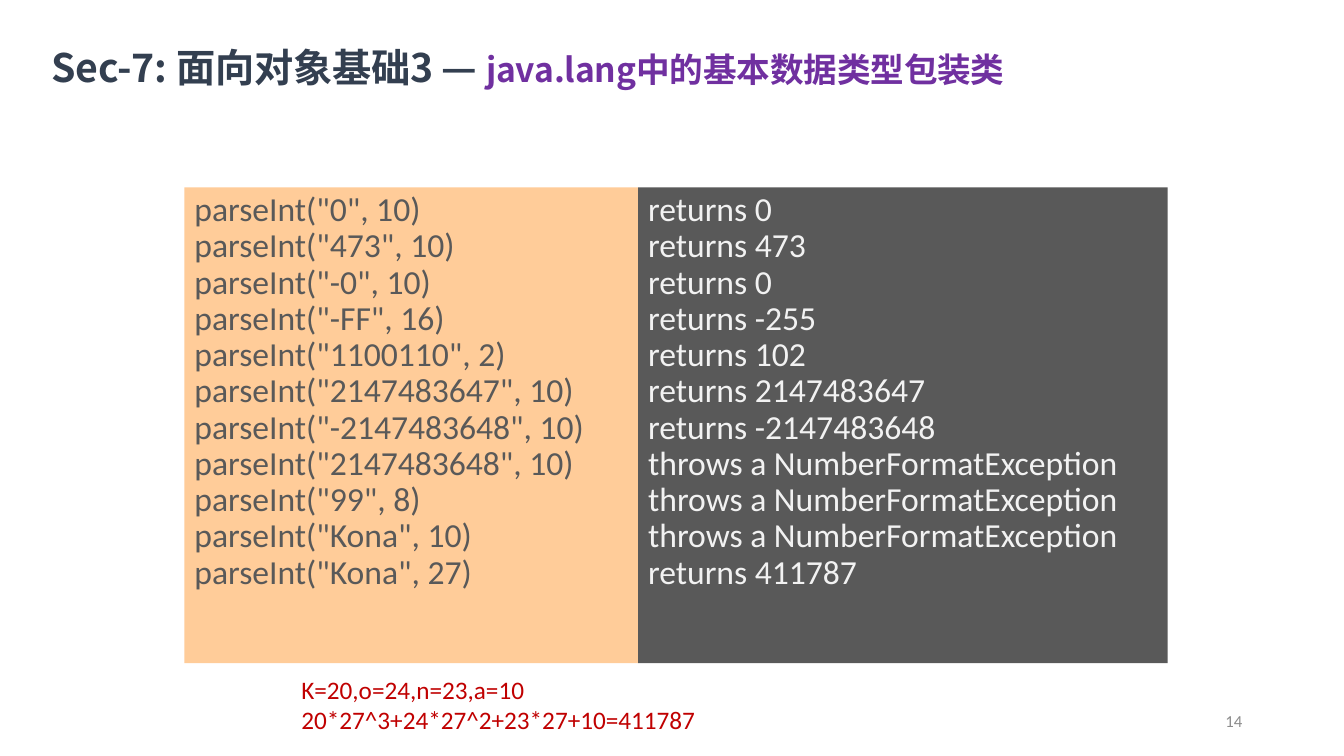
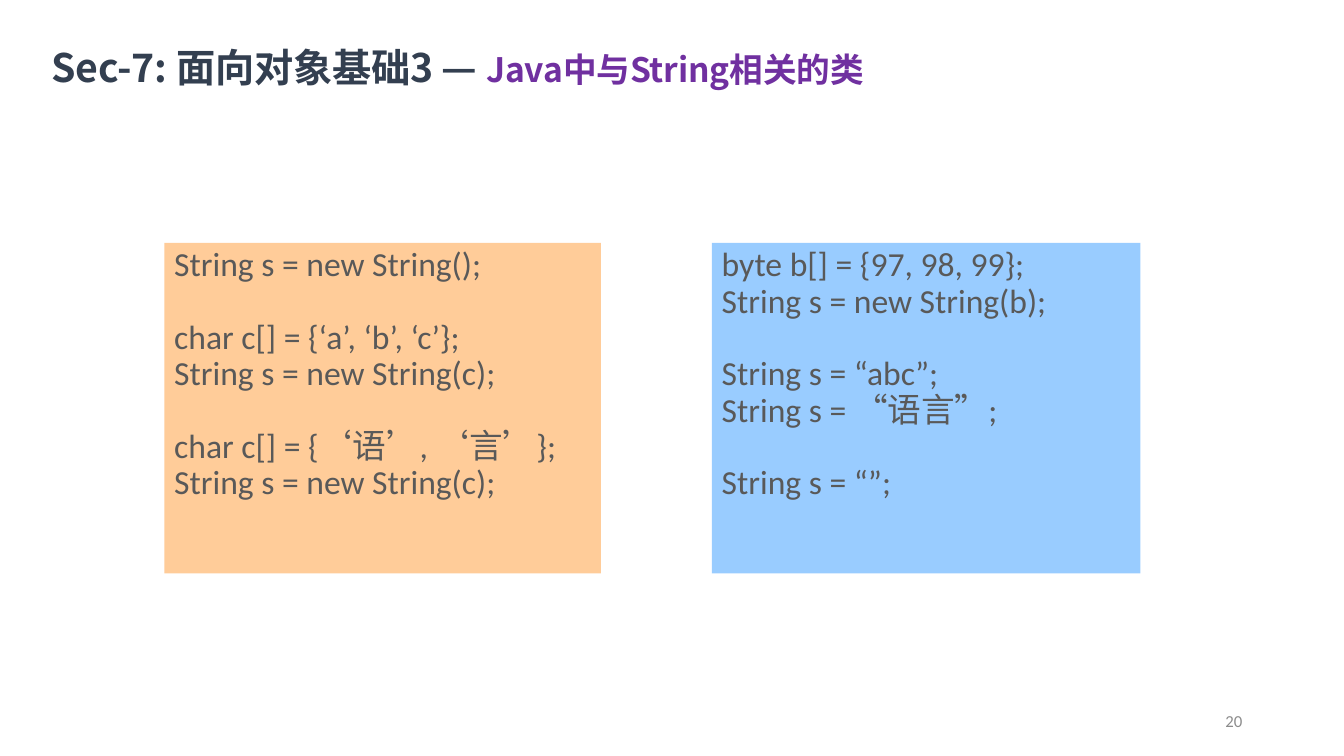
from lxml.etree import SubElement
from pptx import Presentation
from pptx.dml.color import RGBColor
from pptx.enum.shapes import MSO_SHAPE
from pptx.enum.text import MSO_ANCHOR, PP_ALIGN
from pptx.oxml.ns import qn
from pptx.util import Inches, Pt

LATIN, CJK = "Calibri", "Noto Sans CJK SC"
NAVY, PURPLE, RED = "333F50", "7030A0", "C00000"
ORANGE, BLUE, DARK, LIGHT, GREY = "FFCC99", "99CCFF", "595959", "F2F2F2", "8C8C8C"
CODE_LINE = 26  # height of one line of code, in points


def color(hex_string):
    return RGBColor.from_string(hex_string)


def add_run(p, text, size, hex_string, font=LATIN, bold=False):
    r = p.add_run()
    r.text = text
    r.font.size, r.font.bold, r.font.name = Pt(size), bold, font
    r.font.color.rgb = color(hex_string)
    SubElement(r._r.get_or_add_rPr(), qn("a:ea")).set("typeface", CJK)
    return r


# Content: panels are (left, top, width, height, fill, text colour, groups of lines)
calls = [
    ('parseInt("0", 10)', "returns 0"),
    ('parseInt("473", 10)', "returns 473"),
    ('parseInt("-0", 10)', "returns 0"),
    ('parseInt("-FF", 16)', "returns -255"),
    ('parseInt("1100110", 2)', "returns 102"),
    ('parseInt("2147483647", 10)', "returns 2147483647"),
    ('parseInt("-2147483648", 10)', "returns -2147483648"),
    ('parseInt("2147483648", 10)', "throws a NumberFormatException"),
    ('parseInt("99", 8)', "throws a NumberFormatException"),
    ('parseInt("Kona", 10)', "throws a NumberFormatException"),
    ('parseInt("Kona", 27)', "returns 411787"),
]
inputs, results = zip(*calls)
char_code = [
    ["String s = new String();"],
    ["char c[] = {‘a’, ‘b’, ‘c’};", "String s = new String(c);"],
    ["char c[] = {‘语’, ‘言’};", "String s = new String(c);"],
]
byte_code = [
    ["byte b[] = {97, 98, 99};", "String s = new String(b);"],
    ["String s = “abc”;", "String s = “语言”;"],
    ["String s = “”;"],
]
slides = [
    ("java.lang中的基本数据类型包装类", "14",
     [(1.83, 1.86, 4.5, 4.72, ORANGE, DARK, [inputs]),
      (6.33, 1.86, 5.25, 4.72, DARK, LIGHT, [results])],
     ["K=20,o=24,n=23,a=10", "20*27^3+24*27^2+23*27+10=411787"]),
    ("Java中与String相关的类", "20",
     [(1.63, 2.41, 4.33, 3.28, ORANGE, DARK, char_code),
      (7.06, 2.41, 4.25, 3.28, BLUE, DARK, byte_code)],
     []),
]

prs = Presentation()
prs.slide_width, prs.slide_height = Inches(13.33), Inches(7.5)

for topic, number, panels, notes in slides:
    s = prs.slides.add_slide(prs.slide_layouts[6])

    # Slide number
    tf = s.shapes.add_textbox(Inches(9.42), Inches(6.95), Inches(3), Inches(0.4)).text_frame
    tf.word_wrap = True
    tf.vertical_anchor = MSO_ANCHOR.MIDDLE
    p = tf.paragraphs[0]
    p.alignment = PP_ALIGN.RIGHT
    add_run(p, number, 12, GREY)

    # Code panels
    for left, top, width, height, fill, ink, groups in panels:
        sp = s.shapes.add_shape(MSO_SHAPE.RECTANGLE, Inches(left), Inches(top),
                                Inches(width), Inches(height))
        sp.shadow.inherit = False
        sp.fill.solid()
        sp.fill.fore_color.rgb = color(fill)
        sp.line.fill.background()
        tf = sp.text_frame
        tf.word_wrap = True
        tf.vertical_anchor = MSO_ANCHOR.TOP
        p = None
        for group in groups:
            for i, line in enumerate(group):
                first = p is None
                p = tf.paragraphs[0] if first else tf.add_paragraph()
                p.alignment = PP_ALIGN.LEFT
                p.line_spacing = 0.9
                p.space_before = Pt(CODE_LINE if i == 0 and not first else 0)
                pPr = p._p.get_or_add_pPr()
                pPr.set("marL", str(Inches(0.38)))
                pPr.set("indent", str(-Inches(0.38)))
                add_run(p, line, 24, ink)

    # Worked sum under the panels
    if notes:
        tf = s.shapes.add_textbox(Inches(2.89), Inches(6.64), Inches(6.38), Inches(0.71)).text_frame
        tf.word_wrap = True
        for i, line in enumerate(notes):
            p = tf.add_paragraph() if i else tf.paragraphs[0]
            add_run(p, line, 18, RED)

    # Title
    tf = s.shapes.add_textbox(Inches(0.5), Inches(0.42), Inches(10.66), Inches(0.48)).text_frame
    tf.word_wrap = True
    tf.margin_left = tf.margin_right = tf.margin_bottom = 0
    tf.margin_top = Inches(0.01)
    p = tf.paragraphs[0]
    p._p.get_or_add_pPr().set("marL", str(Inches(0.01)))
    for text, size, ink in (("Sec-7: 面向对象基础3 — ", 28, NAVY), (topic, 24, PURPLE)):
        r = add_run(p, text, size, ink, CJK, True)
        r._r.get_or_add_rPr().set("spc", "-10")

prs.save("out.pptx")
